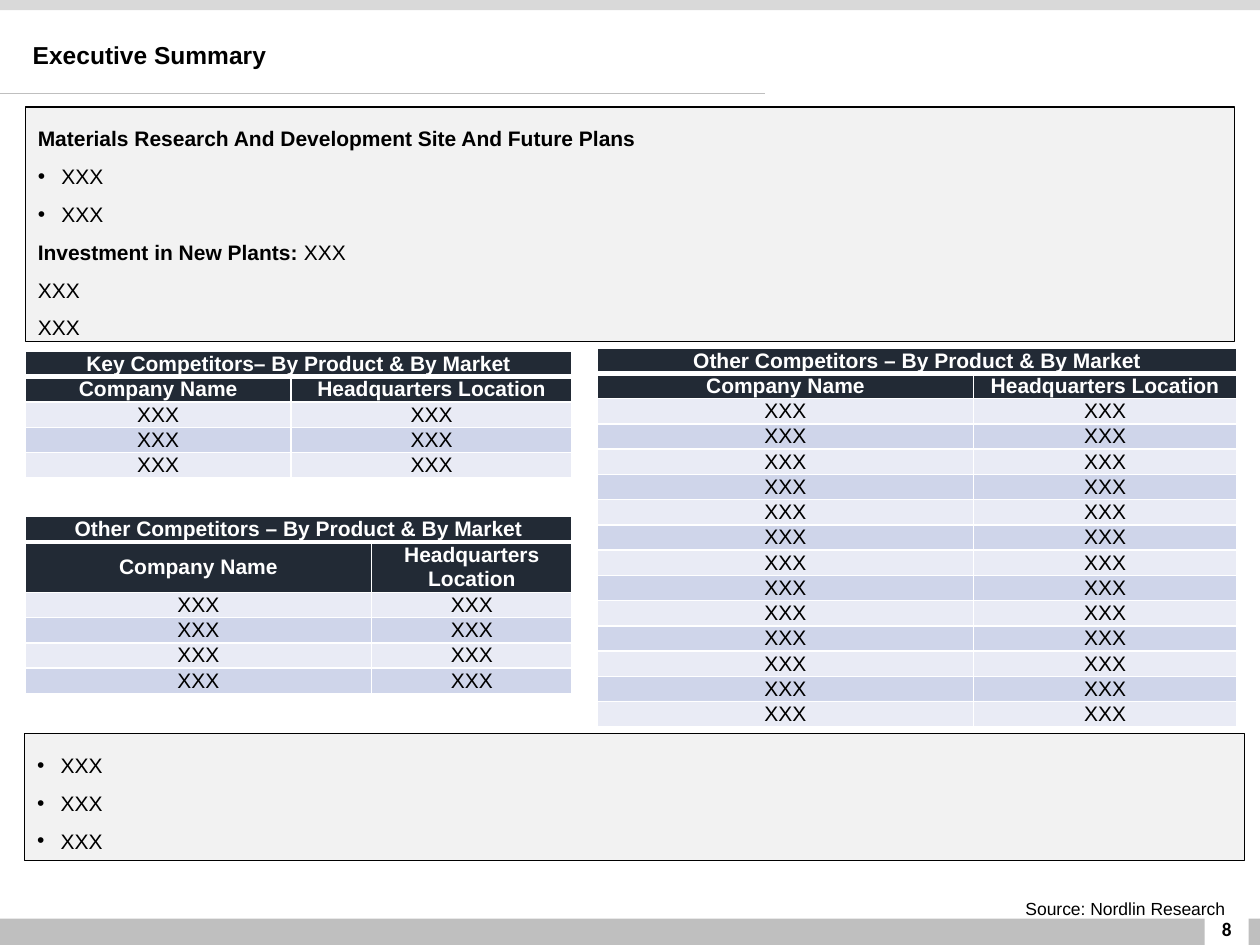
import pptx
import pptx.util
import pptx.dml.color
import pptx.enum.shapes
import pptx.enum.text
import pptx.oxml
import pptx.oxml.ns
import lxml.etree

Pt = pptx.util.Pt
RGBColor = pptx.dml.color.RGBColor
Align = pptx.enum.text.PP_ALIGN
Anchor = pptx.enum.text.MSO_ANCHOR

BLACK = RGBColor(0x00, 0x00, 0x00)
WHITE = RGBColor(0xFF, 0xFF, 0xFF)
BAR_GREY = RGBColor(0xBF, 0xBF, 0xBF)
TOP_GREY = RGBColor(0xD9, 0xD9, 0xD9)
PANEL_GREY = RGBColor(0xF2, 0xF2, 0xF2)
NAVY = RGBColor(0x22, 0x2A, 0x35)
BAND_LIGHT = RGBColor(0xE9, 0xEB, 0xF5)
BAND_DARK = RGBColor(0xCF, 0xD5, 0xEA)
ROW_HEIGHT = 14.4


def format_font(font, size, color=BLACK, bold=False, name="Arial"):
    font.name = name
    font.size = Pt(size)
    font.bold = bold
    font.color.rgb = color


def add_border(cell, side, width):
    line = lxml.etree.SubElement(
        cell._tc.get_or_add_tcPr(), pptx.oxml.ns.qn("a:" + side), w=str(Pt(width)))
    fill = lxml.etree.SubElement(line, pptx.oxml.ns.qn("a:solidFill"))
    lxml.etree.SubElement(fill, pptx.oxml.ns.qn("a:srgbClr"), val=str(WHITE))


deck = pptx.Presentation()
deck.slide_width = Pt(720)
deck.slide_height = Pt(540)
page = deck.slides.add_slide(deck.slide_layouts[3])
title, summary_panel, notes_panel = page.placeholders

for left, top, width, height, color in [
    (0, 524.9, 721.4, 16.6, BAR_GREY),
    (0, 0, 721.4, 5.8, TOP_GREY),
    (688.3, 513.4, 25.2, 27.4, WHITE),
]:
    bar = page.shapes.add_shape(
        pptx.enum.shapes.MSO_SHAPE.RECTANGLE, Pt(left), Pt(top), Pt(width), Pt(height))
    bar.shadow.inherit = False
    bar.fill.solid()
    bar.fill.fore_color.rgb = color
    bar.line.fill.background()

rule = page.shapes.add_connector(
    pptx.enum.shapes.MSO_CONNECTOR.STRAIGHT, Pt(0), Pt(53.2), Pt(437), Pt(53.2))
rule.line.color.rgb = BAR_GREY
rule.line.width = Pt(0.5)
lxml.etree.SubElement(rule._element.spPr, pptx.oxml.ns.qn("a:effectLst"))

title.left, title.top, title.width, title.height = Pt(11.5), Pt(19.4), Pt(476.6), Pt(24.2)
title.text_frame.text = "Executive Summary"
title.text_frame.auto_size = pptx.enum.text.MSO_AUTO_SIZE.NONE
title.text_frame.vertical_anchor = Anchor.MIDDLE
title.text_frame.paragraphs[0].alignment = Align.LEFT
format_font(title.text_frame.paragraphs[0].runs[0].font, 14, bold=True)

for left, top, width, height, text, align, anchor, size, bold, name in [
    (683.3, 516.2, 35.3, 28.8, "8", Align.CENTER, Anchor.MIDDLE, 11, True, "Calibri"),
    (344.2, 509.8, 362.9, 19.4, "Source: Nordlin Research", Align.RIGHT, Anchor.TOP,
     10, False, "Arial"),
]:
    box = page.shapes.add_textbox(Pt(left), Pt(top), Pt(width), Pt(height))
    box.text_frame.word_wrap = True
    box.text_frame.vertical_anchor = anchor
    box.text_frame.text = text
    para = box.text_frame.paragraphs[0]
    para.alignment = align
    format_font(para.runs[0].font, size, bold=bold, name=name)

summary_lines = [
    (False, "Materials Research And Development Site And Future Plans", ""),
    (True, "", "XXX"),
    (True, "", "XXX"),
    (False, "Investment in New Plants: ", "XXX"),
    (False, "", "XXX"),
    (False, "", "XXX"),
]
for panel, left, top, width, height, lines in [
    (summary_panel, 14.4, 61.2, 691.2, 134, summary_lines),
    (notes_panel, 14, 419.2, 697, 72.4, [(True, "", "XXX")] * 3),
]:
    panel.left, panel.top, panel.width, panel.height = Pt(left), Pt(top), Pt(width), Pt(height)
    panel.fill.solid()
    panel.fill.fore_color.rgb = PANEL_GREY
    panel.line.color.rgb = BLACK
    panel.line.width = Pt(0.75)
    frame = panel.text_frame
    frame.auto_size = pptx.enum.text.MSO_AUTO_SIZE.NONE
    frame.vertical_anchor = Anchor.TOP
    for index, (bulleted, heading, detail) in enumerate(lines):
        para = frame.paragraphs[0] if index == 0 else frame.add_paragraph()
        properties = para._p.get_or_add_pPr()
        indent = Pt(13.5) if bulleted else 0
        properties.set("marL", str(indent))
        properties.set("indent", str(-indent))
        if bulleted:
            lxml.etree.SubElement(properties, pptx.oxml.ns.qn("a:buFont"), typeface="Arial")
            lxml.etree.SubElement(properties, pptx.oxml.ns.qn("a:buChar"), char="•")
        else:
            lxml.etree.SubElement(properties, pptx.oxml.ns.qn("a:buNone"))
        para.line_spacing = 1.5
        para.space_before = Pt(0)
        for text, bold in [(heading, True), (detail, False)]:
            if text:
                span = para.add_run()
                span.text = text
                format_font(span.font, 12, bold=bold)

for left, top, widths, heading, header_height, count in [
    (14.4, 200.9, (152, 160.5), "Key Competitors– By Product & By Market", ROW_HEIGHT, 3),
    (341.5, 198.9, (214.7, 150.6), "Other Competitors – By Product & By Market", ROW_HEIGHT, 13),
    (14.4, 295.2, (198, 114.5), "Other Competitors – By Product & By Market",
     2 * ROW_HEIGHT, 4),
]:
    rows = [(heading, ""), ("Company Name", "Headquarters Location")] + [("XXX", "XXX")] * count
    heights = [ROW_HEIGHT, header_height] + [ROW_HEIGHT] * count
    table = page.shapes.add_table(
        len(rows), 2, Pt(left), Pt(top), Pt(sum(widths)), Pt(sum(heights))).table
    for column, width in zip(table.columns, widths):
        column.width = Pt(width)
    table.cell(0, 0).merge(table.cell(0, 1))
    for row_index, texts in enumerate(rows):
        table.rows[row_index].height = Pt(heights[row_index])
        is_header = row_index < 2
        for column_index, text in enumerate(texts):
            cell = table.cell(row_index, column_index)
            cell.margin_left = cell.margin_right = cell.margin_top = cell.margin_bottom = 0
            cell.vertical_anchor = Anchor.MIDDLE
            for side in ("lnL", "lnR", "lnT", "lnB"):
                thick = (row_index, side) in [(0, "lnB"), (1, "lnT")]
                add_border(cell, side, 3 if thick else 1)
            cell.fill.solid()
            band = BAND_DARK if row_index % 2 else BAND_LIGHT
            cell.fill.fore_color.rgb = NAVY if is_header else band
            if text:
                cell.text_frame.text = text
                para = cell.text_frame.paragraphs[0]
                para.alignment = Align.CENTER
                format_font(para.runs[0].font, 12, WHITE if is_header else BLACK, is_header)

deck.save("out.pptx")
